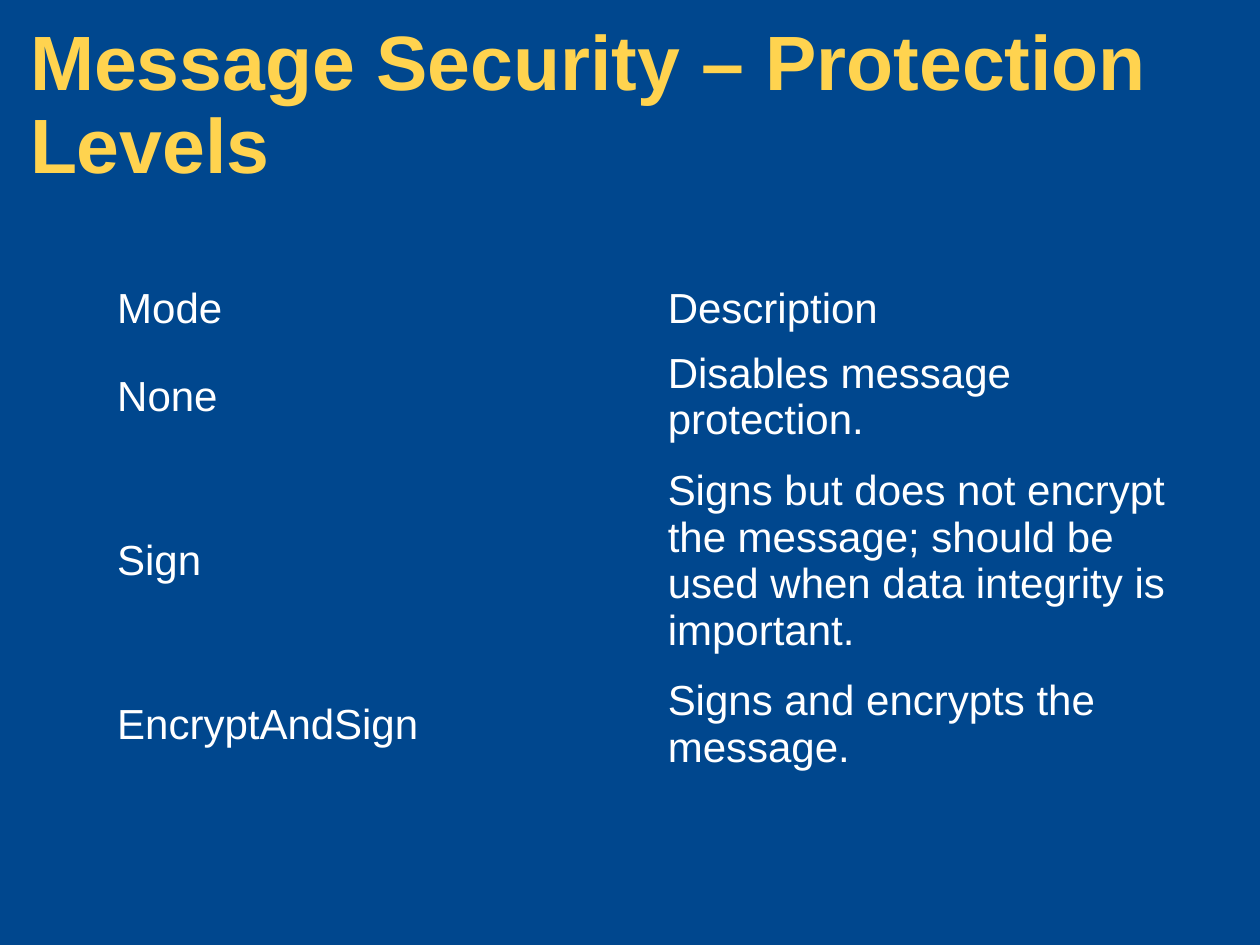
from pptx import Presentation
from pptx import util as u
from pptx.dml.color import RGBColor
from pptx.enum import text

TITLE = "Message Security – Protection Levels"
ROWS = [
    ("Mode", "Description"),
    ("None", "Disables message protection."),
    ("Sign", "Signs but does not encrypt the message; should be used when "
             "data integrity is important."),
    ("EncryptAndSign", "Signs and encrypts the message."),
]
COLUMN_WIDTH = 4.37
BLUE, YELLOW, WHITE = "00478E", "FFD34F", "FFFFFF"


def color(value):
    return RGBColor.from_string(value)


def add_text(frame, content, size, fill, bold=False):
    para = frame.paragraphs[0]
    span = para.add_run()
    span.text = content
    span.font.name = "Arial"
    span.font.size = u.Pt(size)
    span.font.bold = bold
    span.font.color.rgb = color(fill)
    return para


deck = Presentation()
deck.slide_width, deck.slide_height = u.Inches(10), u.Inches(7.5)
page = deck.slides.add_slide(deck.slide_layouts[6])
page.background.fill.solid()
page.background.fill.fore_color.rgb = color(BLUE)

# Title
box = page.shapes.add_textbox(u.Inches(0.14), u.Inches(0.14),
                              u.Inches(9.7), u.Inches(1.43))
box.text_frame.word_wrap = True
box.text_frame.auto_size = text.MSO_AUTO_SIZE.SHAPE_TO_FIT_TEXT
add_text(box.text_frame, TITLE, 44, YELLOW, bold=True).line_spacing = 0.9

# Protection level table
frame = page.shapes.add_table(len(ROWS), 2, u.Inches(0.83), u.Inches(2.2),
                              u.Inches(2 * COLUMN_WIDTH), u.Inches(4))
table = frame.table
table.first_row = table.horz_banding = False
# "No Style, No Grid" keeps the cells free of borders
table._tbl.tblPr[0].text = "{2D5ABB26-0587-4C30-8999-92F81FD0307C}"
for column in table.columns:
    column.width = u.Inches(COLUMN_WIDTH)
for row, contents in zip(table.rows, ROWS):
    row.height = u.Inches(0)  # each row grows to fit its text
    for cell, content in zip(row.cells, contents):
        cell.fill.solid()
        cell.fill.fore_color.rgb = color(BLUE)
        cell.vertical_anchor = text.MSO_ANCHOR.MIDDLE
        add_text(cell.text_frame, content, 24, WHITE)
frame.height = u.Inches(4)

deck.save("out.pptx")
